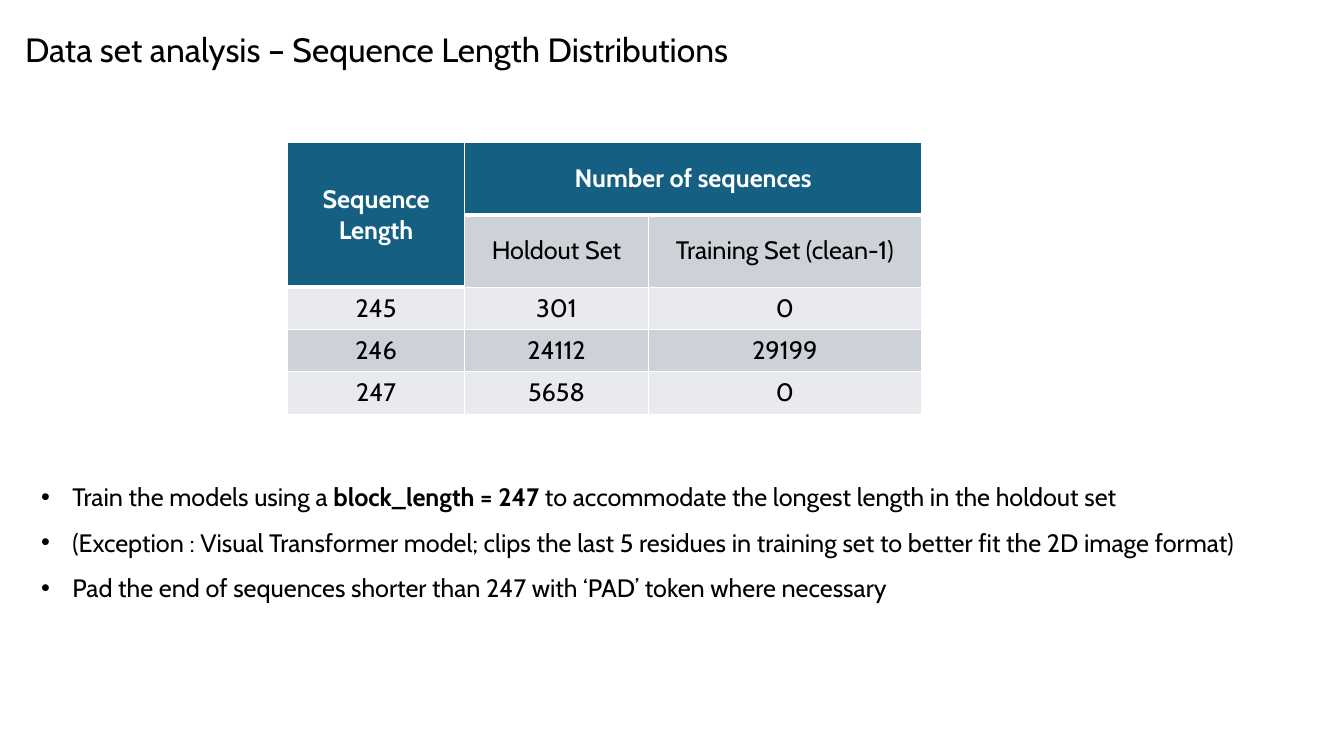
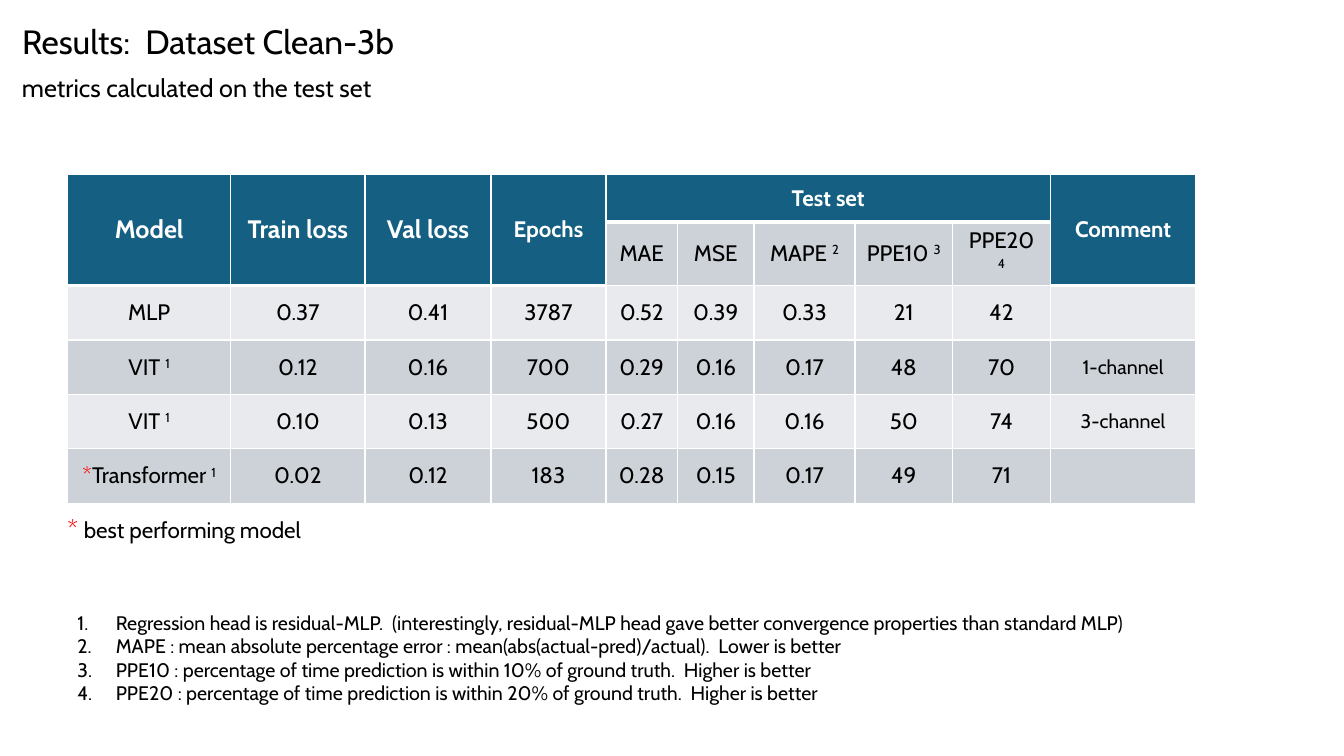
from dataclasses import dataclass
from itertools import product
from typing import Optional, Union

from lxml.etree import SubElement
from pptx import Presentation
from pptx.dml.color import RGBColor as Color
from pptx.enum.text import MSO_ANCHOR as Anchor, MSO_AUTO_SIZE as AutoSize, PP_ALIGN as Align
from pptx.oxml.ns import qn
from pptx.util import Inches, Pt


@dataclass(frozen=True)
class Theme:
    font: str = "Cabin"
    text: str = "000000"
    white: str = "FFFFFF"
    header: str = "156082"
    dark_band: str = "CCD2D8"
    light_band: str = "E8EAED"
    marker: str = "FF0000"
    title: int = 24
    body: int = 18
    table: int = 16
    note: int = 14
    thin_border: int = 1
    header_border: int = 3


THEME = Theme()


@dataclass(frozen=True)
class Run:
    text: str
    size: Optional[int] = None
    color: str = THEME.text
    bold: bool = False
    superscript: bool = False


Content = Union[str, tuple[Run, ...]]


@dataclass(frozen=True)
class ListStyle:
    tag: str
    attributes: dict[str, str]
    indent: float
    line_spacing: float = 1.0


@dataclass(frozen=True)
class TextBlock:
    left: float
    top: float
    width: float
    height: float
    size: int
    paragraphs: tuple[Content, ...]
    list_style: Optional[ListStyle] = None


@dataclass(frozen=True)
class Heading:
    text: str
    column: int
    row_span: int = 1
    column_span: int = 1
    size: int = THEME.body


@dataclass(frozen=True)
class TableBlock:
    left: float
    top: float
    columns: tuple[float, ...]
    rows: tuple[float, ...]
    headings: tuple[Heading, ...]
    body: tuple[tuple[Optional[Content], ...], ...]
    size: int


BULLETS = ListStyle("a:buChar", {"char": "•"}, 0.31, 1.5)
NUMBERS = ListStyle("a:buAutoNum", {"type": "arabicPeriod"}, 0.38)


def noted(text: str, mark: str) -> tuple[Run, ...]:
    return Run(text), Run(mark, superscript=True)


def title(text: str, left: float, top: float, width: float) -> TextBlock:
    return TextBlock(left, top, width, 0.5, THEME.title, (text,))


def comment(text: str) -> tuple[Run, ...]:
    return (Run(text, THEME.note),)


def add_runs(paragraph, content: Content, size: int) -> None:
    for part in (Run(content),) if isinstance(content, str) else content:
        run = paragraph.add_run()
        run.text = part.text
        run.font.name = THEME.font
        run.font.size = Pt(part.size or size)
        run.font.bold = part.bold
        run.font.color.rgb = Color.from_string(part.color)
        if part.superscript:
            run.font._element.set("baseline", "30000")


def apply_list(paragraph, style: ListStyle) -> None:
    paragraph.line_spacing = style.line_spacing
    properties = paragraph._p.get_or_add_pPr()
    properties.set("marL", str(Inches(style.indent)))
    properties.set("indent", str(-Inches(style.indent)))
    if style.tag == "a:buChar":
        SubElement(properties, qn("a:buFont"), typeface="Arial")
    SubElement(properties, qn(style.tag), style.attributes)


def add_text(slide, block: TextBlock) -> None:
    shape = slide.shapes.add_textbox(
        Inches(block.left), Inches(block.top), Inches(block.width), Inches(block.height)
    )
    frame = shape.text_frame
    frame.word_wrap = True
    frame.auto_size = AutoSize.SHAPE_TO_FIT_TEXT
    for index, content in enumerate(block.paragraphs):
        paragraph = frame.add_paragraph() if index else frame.paragraphs[0]
        if block.list_style:
            apply_list(paragraph, block.list_style)
        add_runs(paragraph, content, block.size)


def style_cell(cell, fill: str, top_border: int, bottom_border: int) -> None:
    properties = cell._tc.get_or_add_tcPr()
    thin = THEME.thin_border
    borders = {"a:lnL": thin, "a:lnR": thin, "a:lnT": top_border, "a:lnB": bottom_border}
    for tag, width in borders.items():
        line = SubElement(properties, qn(tag), w=str(Pt(width)))
        SubElement(SubElement(line, qn("a:solidFill")), qn("a:srgbClr"), val=THEME.white)
    cell.fill.solid()
    cell.fill.fore_color.rgb = Color.from_string(fill)
    cell.vertical_anchor = Anchor.MIDDLE


def fill_cell(cell, content: Content, size: int) -> None:
    paragraph = cell.text_frame.paragraphs[0]
    paragraph.alignment = Align.CENTER
    if content:
        add_runs(paragraph, content, size)


def add_table(slide, block: TableBlock) -> None:
    table = slide.shapes.add_table(
        len(block.rows), len(block.columns), Inches(block.left), Inches(block.top),
        Inches(sum(block.columns)), Inches(sum(block.rows)),
    ).table
    table.first_row = table.horz_banding = False
    for column, width in zip(table.columns, block.columns):
        column.width = Inches(width)
    for row, height in zip(table.rows, block.rows):
        row.height = Inches(height)

    header_cells = {
        (row, heading.column + offset)
        for heading in block.headings
        for row, offset in product(range(heading.row_span), range(heading.column_span))
    }
    for row, column in product(range(len(block.rows)), range(len(block.columns))):
        is_header = (row, column) in header_cells
        band = THEME.dark_band if row % 2 else THEME.light_band
        style_cell(
            table.cell(row, column),
            THEME.header if is_header else band,
            THEME.header_border if (row - 1, column) in header_cells else THEME.thin_border,
            THEME.header_border if is_header else THEME.thin_border,
        )
    for heading in block.headings:
        cell = table.cell(0, heading.column)
        cell.merge(table.cell(heading.row_span - 1, heading.column + heading.column_span - 1))
        fill_cell(cell, (Run(heading.text, color=THEME.white, bold=True),), heading.size)
    for row, contents in enumerate(block.body, start=1):
        for column, content in enumerate(contents):
            if content is not None:
                fill_cell(table.cell(row, column), content, block.size)


LENGTH_TABLE = TableBlock(
    2.85, 1.41, (1.76, 1.82, 2.71), (0.72,) * 2 + (0.42,) * 3,
    (Heading("Sequence Length", 0, row_span=2),
     Heading("Number of sequences", 1, column_span=2)),
    ((None, "Holdout Set", "Training Set (clean-1)"),
     ("245", "301", "0"),
     ("246", "24112", "29199"),
     ("247", "5658", "0")),
    THEME.body,
)

RESULTS_TABLE = TableBlock(
    0.67, 1.73, (1.62, 1.33, 1.25, 1.14, 0.71, 0.76, 1, 0.97, 0.97, 1.44),
    (0.47, 0.5) + (0.54,) * 4,
    (Heading("Model", 0, row_span=2),
     Heading("Train loss", 1, row_span=2),
     Heading("Val loss", 2, row_span=2),
     Heading("Epochs", 3, row_span=2, size=THEME.table),
     Heading("Test set", 4, column_span=5, size=THEME.table),
     Heading("Comment", 9, row_span=2, size=THEME.table)),
    ((None,) * 4 + ("MAE", "MSE", noted("MAPE ", "2"), noted("PPE10 ", "3"),
                    noted("PPE20 ", "4"), None),
     ("MLP", "0.37", "0.41", "3787", "0.52", "0.39", "0.33", "21", "42", ""),
     (noted("VIT ", "1"), "0.12", "0.16", "700", "0.29", "0.16", "0.17", "48", "70",
      comment("1-channel")),
     (noted("VIT ", "1"), "0.10", "0.13", "500", "0.27", "0.16", "0.16", "50", "74",
      comment("3-channel")),
     ((Run("*", color=THEME.marker),) + noted("Transformer ", "1"),
      "0.02", "0.12", "183", "0.28", "0.15", "0.17", "49", "71", "")),
    THEME.table,
)

SLIDES: tuple[tuple[Union[TextBlock, TableBlock], ...], ...] = (
    (
        LENGTH_TABLE,
        title("Data set analysis – Sequence Length Distributions", 0.15, 0.24, 7.42),
        TextBlock(0.31, 4.58, 12.37, 1.42, THEME.body, (
            (Run("Train the models using a "),
             Run("block_length = 247", bold=True),
             Run(" to accommodate the longest length in the holdout set")),
            "(Exception : Visual Transformer model; clips the last 5 residues in training set"
            " to better fit the 2D image format)",
            "Pad the end of sequences shorter than 247 with ‘PAD’ token where necessary",
        ), BULLETS),
    ),
    (
        title("Results:  Dataset Clean-3b", 0.12, 0.16, 4.08),
        RESULTS_TABLE,
        TextBlock(0.12, 0.67, 3.83, 0.4, THEME.body, ("metrics calculated on the test set",)),
        TextBlock(0.67, 6.01, 10.9, 1.04, THEME.note, (
            "Regression head is residual-MLP.  (interestingly, residual-MLP head gave better"
            " convergence properties than standard MLP)",
            "MAPE : mean absolute percentage error : mean(abs(actual-pred)/actual)."
            "  Lower is better",
            "PPE10 : percentage of time prediction is within 10% of ground truth."
            "  Higher is better",
            "PPE20 : percentage of time prediction is within 20% of ground truth."
            "  Higher is better",
        ), NUMBERS),
        TextBlock(0.57, 5.04, 2.56, 0.4, THEME.table, (
            (Run("* ", THEME.body, THEME.marker), Run("best performing model")),
        )),
    ),
)


def main() -> None:
    presentation = Presentation()
    presentation.slide_width = Inches(13.33)
    presentation.slide_height = Inches(7.5)
    for blocks in SLIDES:
        slide = presentation.slides.add_slide(presentation.slide_layouts[6])
        for block in blocks:
            if isinstance(block, TableBlock):
                add_table(slide, block)
            else:
                add_text(slide, block)
    presentation.save("out.pptx")


if __name__ == "__main__":
    main()
